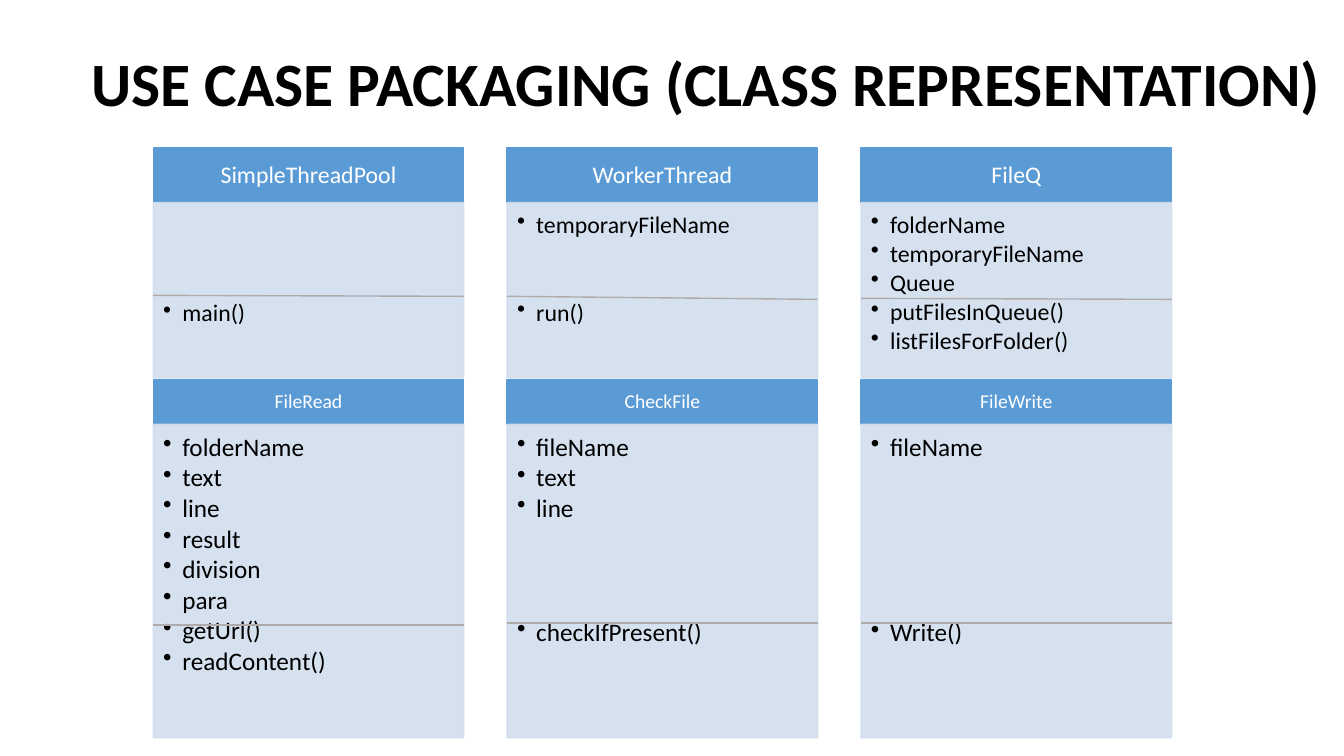
from lxml import etree
from pptx import Presentation
from pptx.dml.color import RGBColor
from pptx.enum.shapes import MSO_CONNECTOR, MSO_SHAPE
from pptx.enum.text import MSO_ANCHOR, PP_ALIGN
from pptx.oxml.ns import qn
from pptx.util import Inches, Pt

RECT = MSO_SHAPE.RECTANGLE
STRAIGHT = MSO_CONNECTOR.STRAIGHT
MIDDLE, TOP = MSO_ANCHOR.MIDDLE, MSO_ANCHOR.TOP
LEFT, CENTER = PP_ALIGN.LEFT, PP_ALIGN.CENTER

BLUE, PALE, GRAY, BLACK, WHITE = "5B9BD5", "D2DEEF", "AFABAB", "000000", "FFFFFF"
COL_X, COL_STEP, COL_W = 1.52, 3.51, 3.08
AFTER = 2.4

ROWS = [
    {"top": 1.47, "head": 0.54, "body": 1.74, "head_pt": 17, "pt": 17, "slots": 3,
     "rules": [(2.93, 2.94), (2.94, 2.97), (2.96, 2.97)],
     "classes": [
         ("SimpleThreadPool", [], ["main()"]),
         ("WorkerThread", ["temporaryFileName"], ["run()"]),
         ("FileQ", ["folderName", "temporaryFileName", "Queue"],
          ["putFilesInQueue()", "listFilesForFolder()"])]},
    {"top": 3.77, "head": 0.44, "body": 3.11, "head_pt": 14, "pt": 18, "slots": 6,
     "rules": [(6.2, 6.2), (6.18, 6.18), (6.18, 6.18)],
     "classes": [
         ("FileRead", ["folderName", "text", "line", "result", "division", "para"],
          ["getUrl()", "readContent()"]),
         ("CheckFile", ["fileName", "text", "line"], ["checkIfPresent()"]),
         ("FileWrite", ["fileName"], ["Write()"])]},
]


def color(code):
    """Turn a hex string into a colour."""
    return RGBColor.from_string(code)


def apply(item, values):
    """Set each attribute named in a dict."""
    for name, value in values.items():
        setattr(item, name, value)


def setup(frame, anchor, left, top, right, bottom):
    """Set wrapping, anchor and insets in inches."""
    apply(frame, {
        "word_wrap": True, "vertical_anchor": anchor,
        "margin_left": Inches(left), "margin_top": Inches(top),
        "margin_right": Inches(right), "margin_bottom": Inches(bottom)})


def write(para, text, size, code, bold=False, align=LEFT):
    """Put one styled run into a paragraph."""
    apply(para, {"alignment": align, "line_spacing": 0.9})
    run = para.add_run()
    run.text = text
    apply(run.font, {"size": Pt(size), "name": "Calibri", "bold": bold})
    run.font.color.rgb = color(code)


def bullet(para):
    """Give a paragraph a hanging bullet."""
    props = para._p.get_or_add_pPr()
    indent = Inches(0.19)
    props.set("marL", str(indent))
    props.set("indent", str(-indent))
    etree.SubElement(props, qn("a:buChar")).set("char", "•")


def fade(shape, percent):
    """Make the fill and line of a shape partly clear."""
    for tone in shape._element.spPr.iter(qn("a:srgbClr")):
        etree.SubElement(tone, qn("a:alpha")).set("val", str(percent * 1000))


def add_box(slide, left, top, width, height, code):
    """Draw a plain rectangle."""
    box = slide.shapes.add_shape(
        RECT, Inches(left), Inches(top), Inches(width), Inches(height))
    box.shadow.inherit = False
    box.fill.solid()
    box.fill.fore_color.rgb = color(code)
    box.line.color.rgb = color(code)
    box.line.width = Pt(1)
    return box


def add_rule(slide, left, start, end):
    """Draw the rule between fields and methods."""
    rule = slide.shapes.add_connector(
        STRAIGHT, Inches(left), Inches(start), Inches(left + COL_W), Inches(end))
    rule.line.color.rgb = color(GRAY)
    rule.line.width = Pt(1)
    etree.SubElement(rule._element.spPr, qn("a:effectLst"))


def add_title(slide, text):
    """Write the slide title."""
    box = slide.shapes.add_textbox(
        Inches(0.81), Inches(0.13), Inches(12.63), Inches(1.45))
    setup(box.text_frame, MIDDLE, 0.1, 0.05, 0.1, 0.05)
    write(box.text_frame.paragraphs[0], text, 44, BLACK, bold=True)


def add_members(frame, fields, methods, size, slots):
    """List fields, then methods from a fixed line slot."""
    pitch = size * 1.22 * 0.9 + AFTER
    gap = (slots - len(fields)) * pitch
    inset = 0.1 if fields else 0.1 + gap / 72
    setup(frame, TOP, 0.1, inset, 0.13, 0.15)
    for index, text in enumerate(fields + methods):
        para = frame.paragraphs[0] if index == 0 else frame.add_paragraph()
        write(para, text, size, BLACK)
        para.space_after = Pt(AFTER)
        if fields and index == len(fields):
            para.space_before = Pt(gap)
        bullet(para)


def add_class(slide, left, row, name, fields, methods):
    """Draw one class with its header and members."""
    head = add_box(slide, left, row["top"], COL_W, row["head"], BLUE)
    setup(head.text_frame, MIDDLE, 0.13, 0.06, 0.13, 0.06)
    write(head.text_frame.paragraphs[0], name, row["head_pt"], WHITE, align=CENTER)
    body = add_box(slide, left, row["top"] + row["head"], COL_W, row["body"], PALE)
    fade(body, 90)
    add_members(body.text_frame, fields, methods, row["pt"], row["slots"])


def main():
    """Build the slide and save it."""
    deck = Presentation()
    apply(deck, {"slide_width": Inches(13.33), "slide_height": Inches(7.5)})
    slide = deck.slides.add_slide(deck.slide_layouts[6])
    add_title(slide, "USE CASE PACKAGING (CLASS REPRESENTATION)")
    for row in ROWS:
        for col, (parts, ends) in enumerate(zip(row["classes"], row["rules"])):
            left = COL_X + col * COL_STEP
            add_class(slide, left, row, *parts)
            add_rule(slide, left, *ends)
    deck.save("out.pptx")


main()
